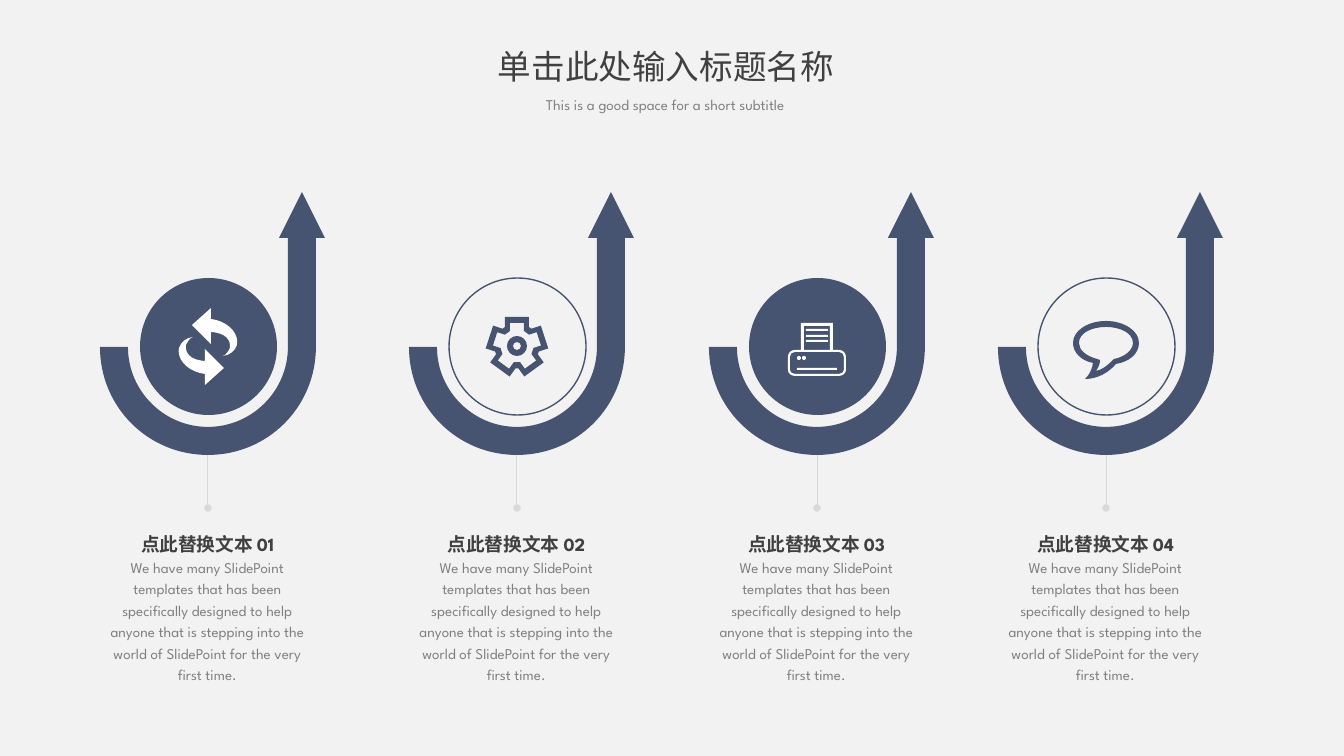
import math

import lxml.etree
import pptx
import pptx.dml.color
import pptx.enum.shapes
import pptx.enum.text
import pptx.oxml.ns
import pptx.util

PX = 914400 / 134.4
NAVY, WHITE, PALE, RULE, DARK, GREY = "475471", "FFFFFF", "F2F2F2", "D9D9D9", "404040", "808080"
LATIN, ASIAN = "League Spartan", "Noto Sans CJK SC"
CENTERS = (208, 517, 817, 1106)
MIDDLE = 347
BODY = ("We have many SlidePoint templates that has been specifically designed to help "
        "anyone that is stepping into the world of SlidePoint for the very first time.")

HOOK = [(94, -155), (71, -109), (80, -109), (80, 0), (80, 44, 44, 80, 0, 80),
        (-44, 80, -80, 44, -80, 0), (-108, 0), (-108, 60, -60, 108, 0, 108),
        (60, 108, 108, 60, 108, 0), (108, -109), (117, -109)]
SWIRL = [(8, -27), (3, -28), (3, -39), (-16, -22), (3, -3), (3, -15),
         (18, -14, 23, -7, 22, 1), (20, 5, 18, 8, 15, 9),
         (22, 8, 27, 4, 29, -2), (31, -12, 23, -23, 8, -27)]
BUBBLE = [(-21, 32), (-21, 32, -14, 26, -13, 16), (-24, 14, -33, 6, -33, -4),
          (-33, -17, -17, -26, 0, -26), (17, -26, 33, -17, 33, -4),
          (33, 7, 23, 15, 10, 17), (-2, 31, -16, 32, -21, 32)]
BUBBLE_HOLE = [(-27, -4), (-27, 3, -20, 9, -9, 12), (-6, 13), (-6, 15),
               (-7, 19, -8, 22, -10, 24), (-4, 23, 1, 19, 7, 13), (8, 12),
               (19, 10, 27, 3, 27, -4), (27, -14, 14, -20, 0, -20),
               (-14, -20, -27, -14, -27, -4)]
PRINTER = [(-16, 3), (-16, -24), (16, -24), (16, 3), (22, 3), (26, 3, 29, 6, 29, 10),
           (29, 23), (29, 26, 26, 29, 22, 29), (-22, 29), (-26, 29, -29, 26, -29, 23),
           (-29, 10), (-29, 6, -26, 3, -22, 3)]
PAPER_HOLE = [(-13, 3), (-13, -21), (13, -21), (13, 3)]
TRAY_HOLE = [(-22, 5), (22, 5), (25, 5, 27, 7, 27, 10), (27, 23), (27, 25, 25, 27, 22, 27),
             (-22, 27), (-25, 27, -27, 25, -27, 23), (-27, 10), (-27, 7, -25, 5, -22, 5)]


def px(length):
    """Turn pixels into EMU."""
    return pptx.util.Emu(round(length * PX))


def color(code):
    """Turn a hex string into a colour."""
    return pptx.dml.color.RGBColor.from_string(code)


def add_child(parent, tag, **attributes):
    """Append a drawing element to a parent."""
    return lxml.etree.SubElement(parent, pptx.oxml.ns.qn(tag), **attributes)


def paint(shape, fill=None, line=None):
    """Set the fill and outline of a shape and drop its shadow."""
    shape.shadow.inherit = False
    if fill:
        shape.fill.solid()
        shape.fill.fore_color.rgb = color(fill)
    else:
        shape.fill.background()
    if line:
        shape.line.color.rgb = color(line)
        shape.line.width = pptx.util.Pt(0.75)
    else:
        shape.line.fill.background()


def add_preset(page, kind, left, top, width, height, fill=None, line=None):
    """Add a rectangle or an ellipse."""
    preset = pptx.enum.shapes.MSO_SHAPE[kind]
    paint(page.shapes.add_shape(preset, px(left), px(top), px(width), px(height)), fill, line)


def bend(shape, center, outlines):
    """Redraw the segments of a freeform, with a curve for each step of six numbers."""
    track = next(shape._element.iter(pptx.oxml.ns.qn("a:path")))
    for child in list(track):
        track.remove(child)
    for outline in outlines:
        for index, step in enumerate(outline):
            tag = "a:cubicBezTo" if len(step) == 6 else "a:lnTo" if index else "a:moveTo"
            segment = add_child(track, tag)
            for x, y in zip(step[::2], step[1::2]):
                add_child(segment, "a:pt", x=str(px(center + x) - shape.left),
                          y=str(px(MIDDLE + y) - shape.top))
        add_child(track, "a:close")


def add_outline(page, center, outlines, fill):
    """Add a filled freeform whose outlines are relative to a column's centre."""
    points = [(px(center + step[-2]), px(MIDDLE + step[-1])) for step in outlines[0]]
    builder = page.shapes.build_freeform(*points[0], scale=1.0)
    builder.add_line_segments(points[1:], close=True)
    shape = builder.convert_to_shape()
    bend(shape, center, outlines)
    paint(shape, fill)


def cog(half, top, base):
    """Return five teeth turned around the hub."""
    points = []
    for tooth in range(5):
        cos, sin = math.cos(math.tau * tooth / 5), math.sin(math.tau * tooth / 5)
        for x, y in ((-half, base), (-half, top), (half, top), (half, base)):
            points.append((x * cos - y * sin, x * sin + y * cos - 1))
    return points


def ring(r):
    """Return a circle around the hub."""
    k = 0.55 * r
    return [(r, -1), (r, k - 1, k, r - 1, 0, r - 1), (-k, r - 1, -r, k - 1, -r, -1),
            (-r, -k - 1, -k, -r - 1, 0, -r - 1), (k, -r - 1, r, -k - 1, r, -1)]


def add_swirl(page, center):
    """Draw two arrows that chase each other."""
    turned = [tuple(-value - index % 2 for index, value in enumerate(step)) for step in SWIRL]
    for outline in (SWIRL, turned):
        add_outline(page, center, [outline], WHITE)


def add_gear(page, center):
    """Draw a gear wheel."""
    add_outline(page, center, [cog(12, -29, -19), cog(7, -23, -15), ring(10), ring(4)], NAVY)


def add_printer(page, center):
    """Draw a printer with a printed sheet."""
    for left, top, width in ((-20, 21, 40), (-11, -18, 22), (-11, -12, 22), (-11, -7, 22)):
        add_preset(page, "RECTANGLE", center + left, MIDDLE + top, width, 2, WHITE)
    add_outline(page, center, [PRINTER, PAPER_HOLE, TRAY_HOLE], WHITE)
    for left in (-20, -15):
        add_preset(page, "OVAL", center + left, MIDDLE + 9, 4, 4, WHITE)


def add_bubble(page, center):
    """Draw a speech bubble."""
    add_outline(page, center, [BUBBLE, BUBBLE_HOLE], NAVY)


def add_stem(page, center):
    """Add a thin line that ends in a dot."""
    stem = page.shapes.add_connector(pptx.enum.shapes.MSO_CONNECTOR.STRAIGHT,
                                     px(center), px(437), px(center), px(508))
    stem.line.color.rgb = color(RULE)
    stem.line.width = pptx.util.Pt(0.5)
    add_child(stem.line._get_or_add_ln(), "a:tailEnd", type="oval", w="sm", len="sm")
    add_child(stem._element.spPr, "a:effectLst")


def write(box, lines, margins=(0, 0, 0, 0), wrap=True, spacing=1.0):
    """Fill a box with centred lines of (text, size, colour, bold, font)."""
    frame = box.text_frame
    frame.word_wrap = wrap
    frame.auto_size = pptx.enum.text.MSO_AUTO_SIZE.NONE
    frame.vertical_anchor = pptx.enum.text.MSO_ANCHOR.TOP
    frame.margin_left, frame.margin_top, frame.margin_right, frame.margin_bottom = map(px, margins)
    for index, (text, size, code, bold, name) in enumerate(lines):
        para = frame.add_paragraph() if index else frame.paragraphs[0]
        para.text = text
        para.alignment = pptx.enum.text.PP_ALIGN.CENTER
        para.line_spacing = spacing
        font = para.font
        font.size, font.bold, font.name = pptx.util.Pt(size), bold, name
        font.color.rgb = color(code)
        add_child(font._rPr, "a:ea", typeface=ASIAN)


def add_heading(page):
    """Fill the title and add the subtitle."""
    title = page.shapes.title
    title.left, title.top, title.width, title.height = map(px, (491, 39, 363, 54))
    subtitle = page.shapes.add_textbox(*map(px, (525, 89, 294, 32)))
    write(title, [("单击此处输入标题名称", 18, DARK, False, ASIAN)], (0, 7, 13, 7), False)
    write(subtitle, [("This is a good space for a short subtitle", 8, GREY, False, LATIN)],
          (0, 7, 13, 7), False)


def main():
    """Build the slide and save it."""
    deck = pptx.Presentation()
    deck.slide_width, deck.slide_height = px(1344), px(756)
    page = deck.slides.add_slide(deck.slide_layouts[5])
    page.background.fill.solid()
    page.background.fill.fore_color.rgb = color(PALE)
    add_heading(page)
    icons = (add_swirl, add_gear, add_printer, add_bubble)
    for index, (center, add_icon) in enumerate(zip(CENTERS, icons)):
        add_stem(page, center)
        add_outline(page, center, [HOOK], NAVY)
        fill, line = (None, NAVY) if index % 2 else (NAVY, None)
        add_preset(page, "OVAL", center - 68, 278, 137, 137, fill, line)
        add_icon(page, center)
        caption = page.shapes.add_textbox(px(center - 105), px(528), px(209), px(157))
        write(caption, [(f"点此替换文本 {index + 1:02}", 10, DARK, True, LATIN),
                        (BODY, 8, GREY, False, LATIN)], spacing=1.2)
    deck.save("out.pptx")


if __name__ == "__main__":
    main()
